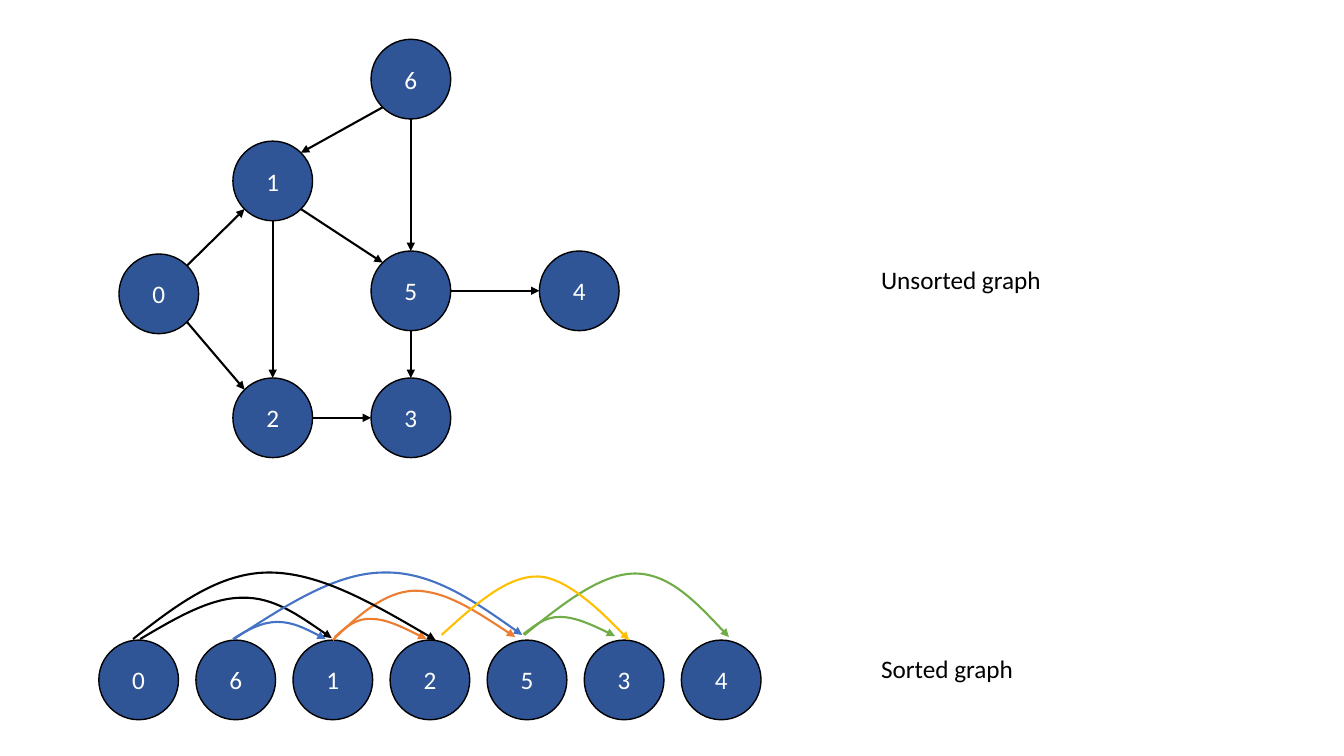
from math import cos, radians, sin

from lxml.etree import SubElement
from pptx import Presentation
from pptx.dml.color import RGBColor
from pptx.enum.shapes import MSO_CONNECTOR as Connector, MSO_SHAPE as Shape
from pptx.enum.text import MSO_ANCHOR as Anchor, PP_ALIGN as Align
from pptx.oxml.ns import qn
from pptx.util import Inches, Pt

BLACK, WHITE, NODE_BLUE = "000000", "FFFFFF", "2F5597"
BLUE, ORANGE, GREEN, GOLD = "4472C4", "ED7D31", "70AD47", "FFC000"
DIAMETER = 0.79

UNSORTED_NODES = {
    "0": (1.18, 2.52), "1": (2.31, 1.4), "2": (2.31, 3.75), "6": (3.68, 0.39),
    "5": (3.68, 2.49), "3": (3.68, 3.75), "4": (5.35, 2.49),
}
SITES = ("top", "top left", "left", "bottom left",
         "bottom", "bottom right", "right", "top right")
EDGES = [
    ("0", "top right", "1", "bottom left"),
    ("0", "bottom right", "2", "top left"),
    ("2", "right", "3", "left"),
    ("1", "bottom", "2", "top"),
    ("1", "bottom right", "5", "top left"),
    ("6", "bottom left", "1", "top right"),
    ("5", "bottom", "3", "top"),
    ("5", "right", "4", "left"),
    ("6", "bottom", "5", "top"),
]

SORTED_ORDER = "0612534"
SORTED_LEFT, SORTED_TOP, SORTED_STEP = 0.98, 6.35, 0.963
ARCS = [
    (BLACK, [(1.39, 6.34), (1.73, 6.14), (2.08, 5.93), (2.4, 5.93),
             (2.71, 5.92), (3, 6.13), (3.29, 6.33)]),
    (BLUE, [(2.31, 6.34), (2.45, 6.25), (2.6, 6.17), (2.75, 6.17),
            (2.9, 6.17), (3.06, 6.25), (3.23, 6.34)]),
    (BLUE, [(2.32, 6.34), (2.83, 6.01), (3.33, 5.68), (3.81, 5.68),
            (4.28, 5.67), (4.73, 5.98), (5.18, 6.3)]),
    (ORANGE, [(3.32, 6.32), (3.42, 6.23), (3.53, 6.13), (3.68, 6.14),
              (3.83, 6.14), (4.03, 6.24), (4.23, 6.34)]),
    (ORANGE, [(3.3, 6.35), (3.55, 6.11), (3.81, 5.87), (4.11, 5.86),
              (4.42, 5.86), (4.76, 6.09), (5.11, 6.32)]),
    (GREEN, [(5.19, 6.29), (5.3, 6.21), (5.4, 6.12), (5.55, 6.12),
             (5.7, 6.12), (5.9, 6.21), (6.1, 6.31)]),
    (GREEN, [(5.2, 6.3), (5.58, 5.99), (5.96, 5.69), (6.3, 5.69),
             (6.64, 5.69), (6.94, 6.01), (7.23, 6.32)]),
    (GOLD, [(4.38, 6.3), (4.71, 6), (5.03, 5.71), (5.34, 5.72),
            (5.65, 5.73), (6.24, 6.35), (6.24, 6.35)]),
    (BLACK, [(1.32, 6.34), (1.74, 6.01), (2.17, 5.68), (2.67, 5.68),
             (3.17, 5.68), (3.74, 6.01), (4.32, 6.35)]),
]


def rgb(hex_color):
    """Turn a hex string into a colour."""
    return RGBColor.from_string(hex_color)


def write(frame, text, color=BLACK, size=18, font="Calibri", align=Align.LEFT,
          anchor=Anchor.TOP, wrap=True):
    """Put formatted text into a text frame."""
    frame.word_wrap = wrap
    frame.vertical_anchor = anchor
    paragraph = frame.paragraphs[0]
    paragraph.alignment = align
    run = paragraph.add_run()
    run.text = text
    run.font.name, run.font.size = font, Pt(size)
    run.font.color.rgb = rgb(color)


def set_line(line, color, width):
    """Colour a line and set its width in points."""
    line.color.rgb = rgb(color)
    line.width = Pt(width)


def point_arrow(arrow, color=BLACK):
    """Style a line as an arrow with a triangular head."""
    set_line(arrow.line, color, 1.5)
    SubElement(arrow.line._get_or_add_ln(), qn("a:tailEnd"), type="triangle")


def add_node(slide, label, left, top):
    """Draw one numbered graph node."""
    node = slide.shapes.add_shape(Shape.OVAL, Inches(left), Inches(top),
                                  Inches(DIAMETER), Inches(DIAMETER))
    node.shadow.inherit = False
    node.fill.solid()
    node.fill.fore_color.rgb = rgb(NODE_BLUE)
    set_line(node.line, BLACK, 1)
    write(node.text_frame, label, color=WHITE, align=Align.CENTER, anchor=Anchor.MIDDLE)
    return node


def site_point(node, site):
    """Find where a connection site lies on a node's rim."""
    angle = radians(90 + 45 * SITES.index(site))
    radius = node.width / 2
    return (round(node.left + radius * (1 + cos(angle))),
            round(node.top + radius * (1 - sin(angle))))


def add_edge(slide, source, source_site, target, target_site):
    """Join two nodes with a glued straight arrow."""
    edge = slide.shapes.add_connector(
        Connector.STRAIGHT, *site_point(source, source_site), *site_point(target, target_site))
    point_arrow(edge)
    SubElement(edge._element.spPr, qn("a:effectLst"))
    glue = edge._element.find(".//" + qn("p:cNvCxnSpPr"))
    for tag, node, site in (("a:stCxn", source, source_site), ("a:endCxn", target, target_site)):
        SubElement(glue, qn(tag), id=str(node.shape_id), idx=str(SITES.index(site)))


def add_arc(slide, color, points):
    """Draw a curved arrow from a start point and Bezier triples."""
    start, *controls = [(Inches(x), Inches(y)) for x, y in points]
    builder = slide.shapes.build_freeform(*start)
    builder.add_line_segments(controls, close=False)
    arc = builder.convert_to_shape()
    outline = arc._element.find(".//" + qn("a:path"))
    segments = outline.findall(qn("a:lnTo"))
    for first in range(0, len(segments), 3):
        curve = SubElement(outline, qn("a:cubicBezTo"))
        for segment in segments[first:first + 3]:
            curve.append(segment[0])
            outline.remove(segment)
    arc.shadow.inherit = False
    arc.fill.background()
    point_arrow(arc, color)


def add_caption(slide, text, left, top, width):
    """Add a one-line caption beside a graph."""
    caption = slide.shapes.add_textbox(Inches(left), Inches(top), Inches(width), Inches(0.4))
    write(caption.text_frame, text, wrap=False)


def main():
    """Build the slide with the unsorted and the sorted graph."""
    deck = Presentation()
    deck.slide_width, deck.slide_height = Inches(13.33), Inches(7.5)
    slide = deck.slides.add_slide(deck.slide_layouts[6])

    nodes = {label: add_node(slide, label, *corner) for label, corner in UNSORTED_NODES.items()}
    for source, source_site, target, target_site in EDGES:
        add_edge(slide, nodes[source], source_site, nodes[target], target_site)
    add_caption(slide, "Unsorted graph", 8.64, 2.57, 1.8)

    for position, label in enumerate(SORTED_ORDER):
        add_node(slide, label, SORTED_LEFT + position * SORTED_STEP, SORTED_TOP)
    for color, points in ARCS:
        add_arc(slide, color, points)
    add_caption(slide, "Sorted graph", 8.64, 6.43, 1.53)

    deck.save("out.pptx")


main()
